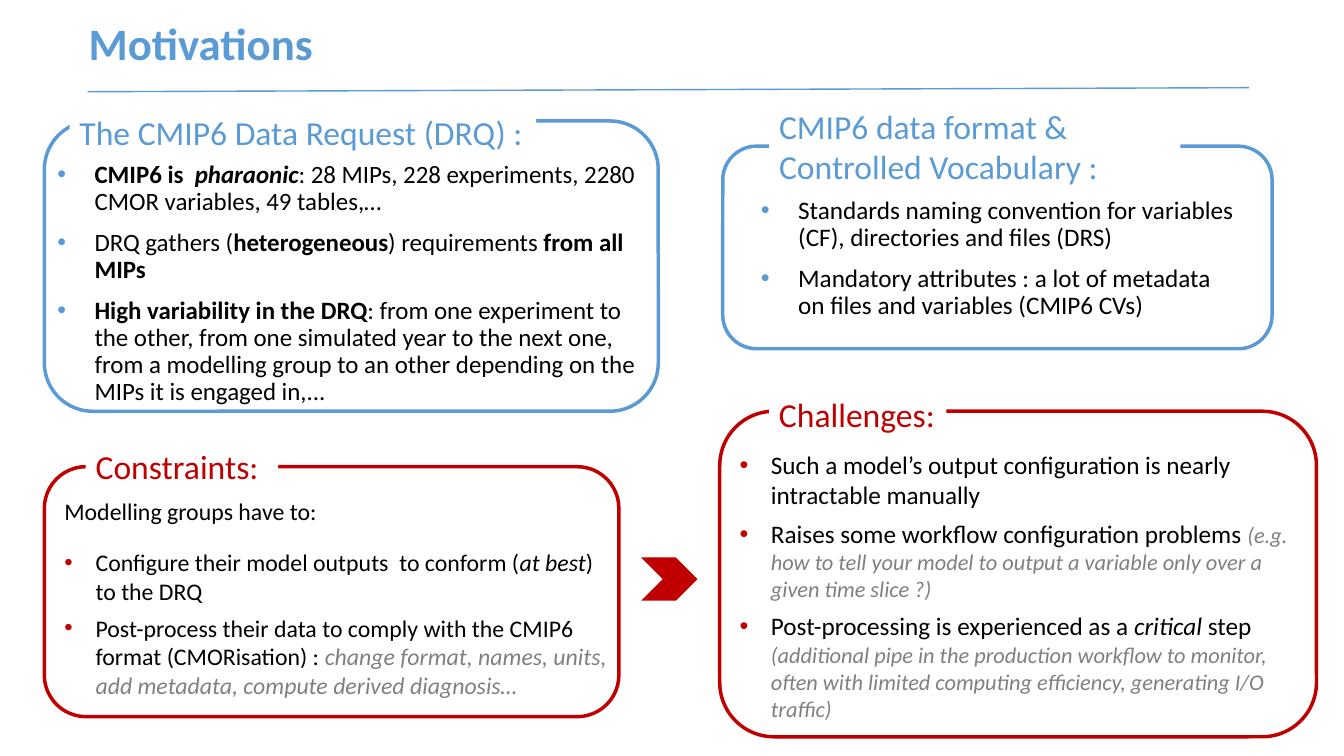
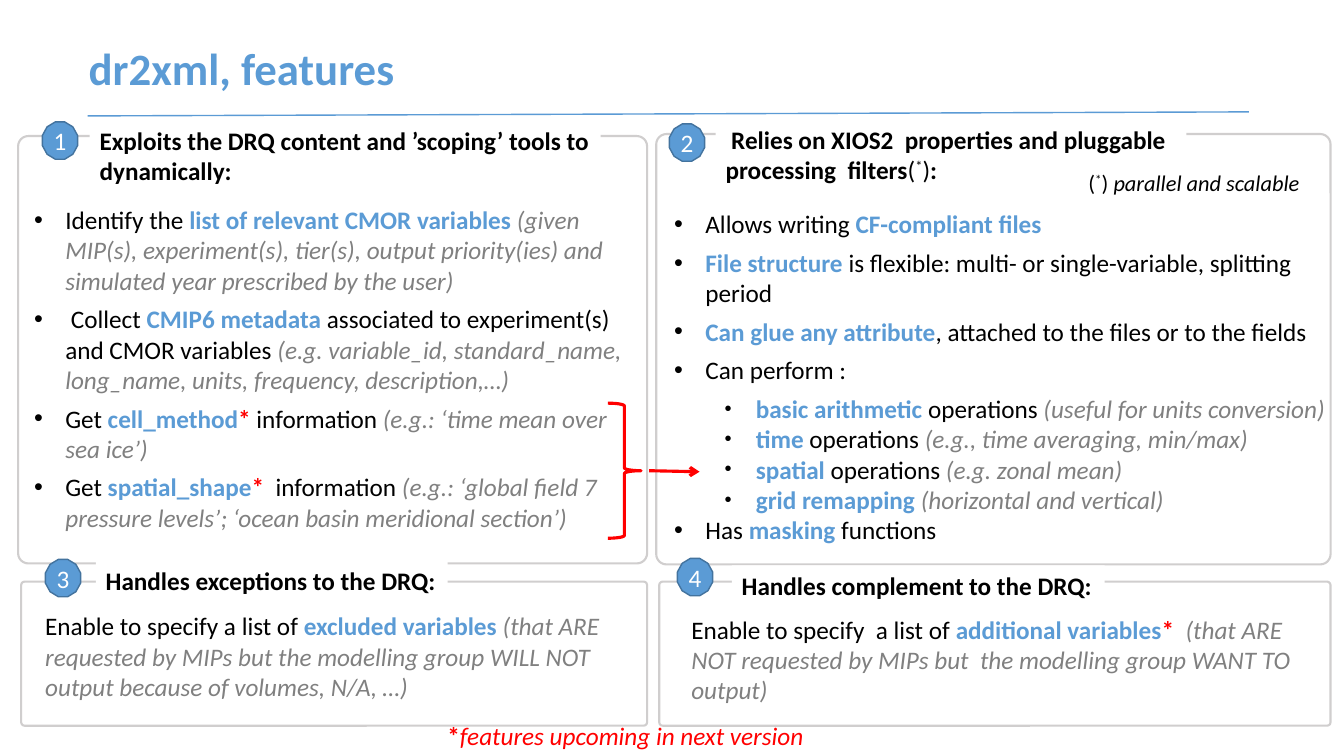
import dataclasses

import lxml.etree
import pptx
import pptx.dml.color
import pptx.enum.shapes
import pptx.enum.text
import pptx.oxml.ns
import pptx.util

SHAPES = pptx.enum.shapes.MSO_SHAPE
ALIGN = pptx.enum.text.PP_ALIGN
ANCHOR = pptx.enum.text.MSO_ANCHOR
CELL = pptx.util.Inches(0.1)
COLUMNS, ROWS = 133.33, 75
FONT = "Calibri"
BLUE, NAVY, CRIMSON, RED = "5B9BD5", "43739E", "C00000", "FF0000"
BLACK, GREY, SILVER, WHITE = "000000", "808080", "D0CECE", "FFFFFF"

RUN_STYLES = {
    "plain": (BLACK, False, False),
    "bold": (BLACK, True, False),
    "italic": (BLACK, False, True),
    "bold italic": (BLACK, True, True),
    "raised": (BLACK, False, False),
    "key": (BLUE, True, False),
    "aside": (GREY, False, True),
    "star": (RED, True, False),
    "note": (RED, False, True),
    "title": (BLUE, True, False),
    "blue label": (BLUE, False, False),
    "red label": (CRIMSON, False, False),
    "badge": (WHITE, False, False),
}


@dataclasses.dataclass
class Look:
    size: float = 18
    aside_size: float = 0
    bullet: str = ""
    bullet_percent: int = 100
    left: float = 0
    hang: float = 0
    before: float = 0
    after: float = 0
    line: float = 1.0
    align: int = ALIGN.LEFT


def grid(cells):
    return int(cells * CELL)


def rgb(text):
    return pptx.dml.color.RGBColor.from_string(text)


def child(parent, tag, **attributes):
    return lxml.etree.SubElement(parent, pptx.oxml.ns.qn(tag), attributes)


class Page:
    def __init__(self, deck):
        self.deck = deck
        self.slide = None

    def start(self, title, middle):
        self.slide = self.deck.slides.add_slide(self.deck.slide_layouts[5])
        box = self.slide.shapes.title
        self.place(box, (7.8, middle - 4.6, 116.2, 9.2))
        box.text_frame.vertical_anchor = ANCHOR.MIDDLE
        self.add_paras(box, Look(size=32, line=0.9), [[(title, "title")]])
        self.line((8.7, middle + 4.5), (123.9, middle + 4.1), BLUE, 1)

    def place(self, shape, at):
        shape.left, shape.top, shape.width, shape.height = map(grid, at)

    def add_paras(self, box, look, items):
        frame = box.text_frame
        frame.word_wrap = True
        for runs in items:
            para = frame.paragraphs[-1]
            if para.runs:
                para = frame.add_paragraph()
            self.dress_para(para, look)
            for text, style in runs:
                self.span(para, look, text, style)

    def dress_para(self, para, look):
        para.alignment = look.align
        para.line_spacing = look.line
        para.space_before = pptx.util.Pt(look.before)
        para.space_after = pptx.util.Pt(look.after)
        properties = para._p.get_or_add_pPr()
        properties.set("marL", str(grid(look.left)))
        properties.set("indent", str(-grid(look.hang)))
        if not look.bullet:
            child(properties, "a:buNone")
            return
        child(child(properties, "a:buClr"), "a:srgbClr", val=look.bullet)
        child(properties, "a:buSzPct", val=str(look.bullet_percent * 1000))
        child(properties, "a:buFont", typeface="Arial")
        child(properties, "a:buChar", char="•")

    def span(self, para, look, text, style):
        color, bold, italic = RUN_STYLES[style]
        span = para.add_run()
        span.text = text
        size = look.aside_size if style == "aside" and look.aside_size else look.size
        span.font.name = FONT
        span.font.size = pptx.util.Pt(size)
        span.font.bold = bold
        span.font.italic = italic
        span.font.color.rgb = rgb(color)
        if style == "raised":
            span._r.get_or_add_rPr().set("baseline", "30000")

    def text(self, at, look, items):
        box = self.slide.shapes.add_textbox(*map(grid, at))
        self.add_paras(box, look, items)
        return box

    def label(self, at, runs, size):
        box = self.text(at, Look(size=size), [runs])
        box.fill.solid()
        box.fill.fore_color.rgb = rgb(WHITE)

    def shape(self, kind, at, fill=None, line=None, weight=1):
        shape = self.slide.shapes.add_shape(kind, *map(grid, at))
        shape.shadow.inherit = False
        if fill:
            shape.fill.solid()
            shape.fill.fore_color.rgb = rgb(fill)
        else:
            shape.fill.background()
        if line:
            shape.line.color.rgb = rgb(line)
            shape.line.width = pptx.util.Pt(weight)
        else:
            shape.line.fill.background()
        return shape

    def panel(self, at, color, weight, label_at, runs, size, corner=None):
        frame = self.shape(SHAPES.ROUNDED_RECTANGLE, at, line=color, weight=weight)
        if corner is not None:
            frame.adjustments[0] = corner
        self.label(label_at, runs, size)

    def badge(self, left, top, number):
        badge = self.shape(SHAPES.DODECAGON, (left, top, 3.5, 3.7), BLUE, NAVY)
        frame = badge.text_frame
        frame.margin_left = frame.margin_right = 0
        frame.margin_top = frame.margin_bottom = 0
        frame.vertical_anchor = ANCHOR.MIDDLE
        self.add_paras(badge, Look(align=ALIGN.CENTER), [[(str(number), "badge")]])

    def line(self, start, end, color, weight, arrow=False):
        line = self.slide.shapes.add_connector(
            pptx.enum.shapes.MSO_CONNECTOR.STRAIGHT, *map(grid, (*start, *end)))
        line.line.color.rgb = rgb(color)
        line.line.width = pptx.util.Pt(weight)
        if arrow:
            child(line.line._get_or_add_ln(), "a:tailEnd", type="arrow")
        child(line._element.spPr, "a:effectLst")


def motivations(page):
    page.start("Motivations", 4.6)
    panels = [
        ((4.4, 12, 60.9, 28.8), BLUE, (6.9, 10.6, 46.3, 5),
         "The CMIP6 Data Request (DRQ) :"),
        ((71.7, 14.5, 54.5, 20.1), BLUE, (76.3, 10, 40.8, 9.1),
         "CMIP6 data format & Controlled Vocabulary :"),
        ((4.4, 46.3, 57, 24.8), CRIMSON, (8.5, 43.7, 19.1, 5), "Constraints:"),
        ((71.4, 40.8, 59.2, 32.3), CRIMSON, (76.3, 38.6, 17.6, 5), "Challenges:"),
    ]
    for at, color, label_at, label in panels:
        style = "blue label" if color == BLUE else "red label"
        page.panel(at, color, 2.5, label_at, [(label, style)], 24)

    blue = Look(size=17.8, bullet=BLUE, left=3.7, hang=3.7, before=10, line=0.9)
    page.text((4.7, 15.6, 60, 27), blue, [
        [("CMIP6 is  ", "bold"), ("pharaonic", "bold italic"),
         (": 28 MIPs, 228 experiments, 2280 CMOR variables, 49 tables,…", "plain")],
        [("DRQ gathers (", "plain"), ("heterogeneous", "bold"),
         (") requirements ", "plain"), ("from all MIPs", "bold")],
        [("High variability in the DRQ", "bold"),
         (": from one experiment to the other, from one simulated year to the next one, "
          "from a modelling group to an other depending on the MIPs it is engaged in,...",
          "plain")],
    ])
    page.text((74.5, 19.1, 49.8, 14.3), dataclasses.replace(blue, size=18), [
        [("Standards naming convention for variables (CF), directories and files (DRS)",
          "plain")],
        [("Mandatory attributes : a lot of metadata on files and variables (CMIP6 CVs)",
          "plain")],
    ])

    red = Look(size=17, bullet=CRIMSON, left=3.1, hang=3.1, after=6)
    box = page.text((5.4, 48.8, 56, 23.2), dataclasses.replace(red, bullet=""), [
        [("Modelling groups have to:", "plain")],
    ])
    page.add_paras(box, dataclasses.replace(red, before=10), [
        [("Configure their model outputs  to conform (", "plain"), ("at best", "italic"),
         (") to the DRQ", "plain")],
    ])
    page.add_paras(box, red, [
        [("Post-process their data to comply with the CMIP6 format (CMORisation) : ",
          "plain"),
         ("change format, names, units, add metadata, compute derived diagnosis…",
          "aside")],
    ])
    page.text((72.4, 44.1, 56.7, 28.3),
              dataclasses.replace(red, size=18, aside_size=16), [
        [("Such a model’s output configuration is nearly intractable manually", "plain")],
        [("Raises some workflow configuration problems ", "plain"),
         ("(e.g. how to tell your model to output a variable only over a given time "
          "slice ?)", "aside")],
        [("Post-processing is experienced as a ", "plain"), ("critical ", "italic"),
         ("step ", "plain"),
         ("(additional pipe in the production workflow to monitor, often with limited "
          "computing efficiency, generating I/O traffic)", "aside")],
    ])
    page.shape(SHAPES.CHEVRON, (63.6, 55.3, 5.6, 4.3), CRIMSON)


def features(page):
    page.start("dr2xml, features", 7)
    panels = [
        ((1.8, 13.5, 62.4, 42.4), (8.9, 11.9, 50.7, 7.1), (4.2, 12.1),
         [("Exploits the DRQ content and ’scoping’ tools to dynamically:", "bold")]),
        ((65.1, 13.3, 66.9, 42.7), (71, 11.8, 46.7, 7.1), (66.4, 12.3),
         [(" Relies on XIOS2  properties and pluggable processing  filters", "bold"),
          ("(", "plain"), ("*", "raised"), (")", "plain"), (":", "bold")]),
        ((2.1, 57.7, 62.1, 14.3), (9.5, 55.6, 34.9, 4), (4.5, 55.5),
         [("Handles exceptions to the DRQ:", "bold")]),
        ((65.4, 57.7, 66.6, 14.3), (72.6, 56.1, 37, 4), (67.2, 55.4),
         [("Handles complement to the DRQ:", "bold")]),
    ]
    for number, (at, label_at, badge_at, runs) in enumerate(panels, 1):
        page.panel(at, SILVER, 1.5, label_at, runs, 18, corner=0.024)
        page.badge(*badge_at, number)

    item = Look(bullet=BLACK, left=3.1, hang=3.1, after=6)
    page.text((2.4, 19.8, 62.7, 33.8), item, [
        [("Identify the ", "plain"), ("list of relevant CMOR variables ", "key"),
         ("(given MIP(s), experiment(s), tier(s), output priority(ies) and simulated "
          "year prescribed by the user)", "aside")],
        [(" Collect ", "plain"), ("CMIP6 metadata", "key"),
         (" associated to experiment(s) and CMOR variables ", "plain"),
         ("(e.g. variable_id, standard_name, long_name, units, frequency, "
          "description,…)", "aside")],
        [("Get ", "plain"), ("cell_method", "key"), ("* ", "star"),
         ("information ", "plain"), ("(e.g.: ‘time mean over sea ice’)", "aside")],
        [("Get ", "plain"), ("spatial_shape", "key"), ("*  ", "star"),
         ("information ", "plain"),
         ("(e.g.: ‘global field 7 pressure levels’; ‘ocean basin meridional section’)",
          "aside")],
    ])
    box = page.text((65.9, 20.2, 67.4, 34.7), item, [
        [("Allows writing ", "plain"), ("CF-compliant files", "key")],
        [("File structure", "key"),
         (" is flexible: multi- or single-variable, splitting period", "plain")],
        [("Can glue any attribute", "key"),
         (", attached to the files or to the fields", "plain")],
        [("Can perform :", "plain")],
    ])
    page.add_paras(box, dataclasses.replace(item, left=8.1, after=0, bullet_percent=80), [
        [("basic arithmetic ", "key"), ("operations ", "plain"),
         ("(useful for units conversion)", "aside")],
        [("time", "key"), (" operations ", "plain"),
         ("(e.g., time averaging, min/max)", "aside")],
        [("spatial", "key"), (" operations ", "plain"), ("(e.g. zonal mean)", "aside")],
        [("grid remapping ", "key"), ("(horizontal and vertical)", "aside")],
    ])
    page.add_paras(box, item, [
        [("Has ", "plain"), ("masking", "key"), (" functions", "plain")],
    ])

    page.text((3.5, 60.1, 59.4, 10.1), Look(), [
        [("Enable to specify a list of ", "plain"), ("excluded variables ", "key"),
         ("(that ARE requested by MIPs but the modelling group WILL NOT output because "
          "of volumes, N/A, …)", "aside")],
    ])
    page.text((67.6, 60.4, 62.9, 10.1), Look(), [
        [("Enable to specify  a list of ", "plain"), ("additional variables", "key"),
         ("*  ", "star"),
         ("(that ARE NOT requested by MIPs but  the modelling group WANT TO output)",
          "aside")],
    ])
    page.text((107, 16.3, 25.7, 3.7), Look(size=16), [
        [("(", "plain"), ("*", "raised"), (") ", "plain"),
         ("parallel and scalable", "italic")],
    ])
    page.text((43.4, 71, 50.8, 4), Look(), [
        [("*", "star"), ("features upcoming in next version", "note")],
    ])
    page.shape(SHAPES.RIGHT_BRACE, (60.3, 40, 3.3, 13.4), line=RED, weight=2.25)
    page.line((64.4, 46.7), (69.4, 46.8), RED, 2.25, arrow=True)


def main():
    deck = pptx.Presentation()
    deck.slide_width, deck.slide_height = grid(COLUMNS), grid(ROWS)
    page = Page(deck)
    motivations(page)
    features(page)
    deck.save("out.pptx")


if __name__ == "__main__":
    main()
